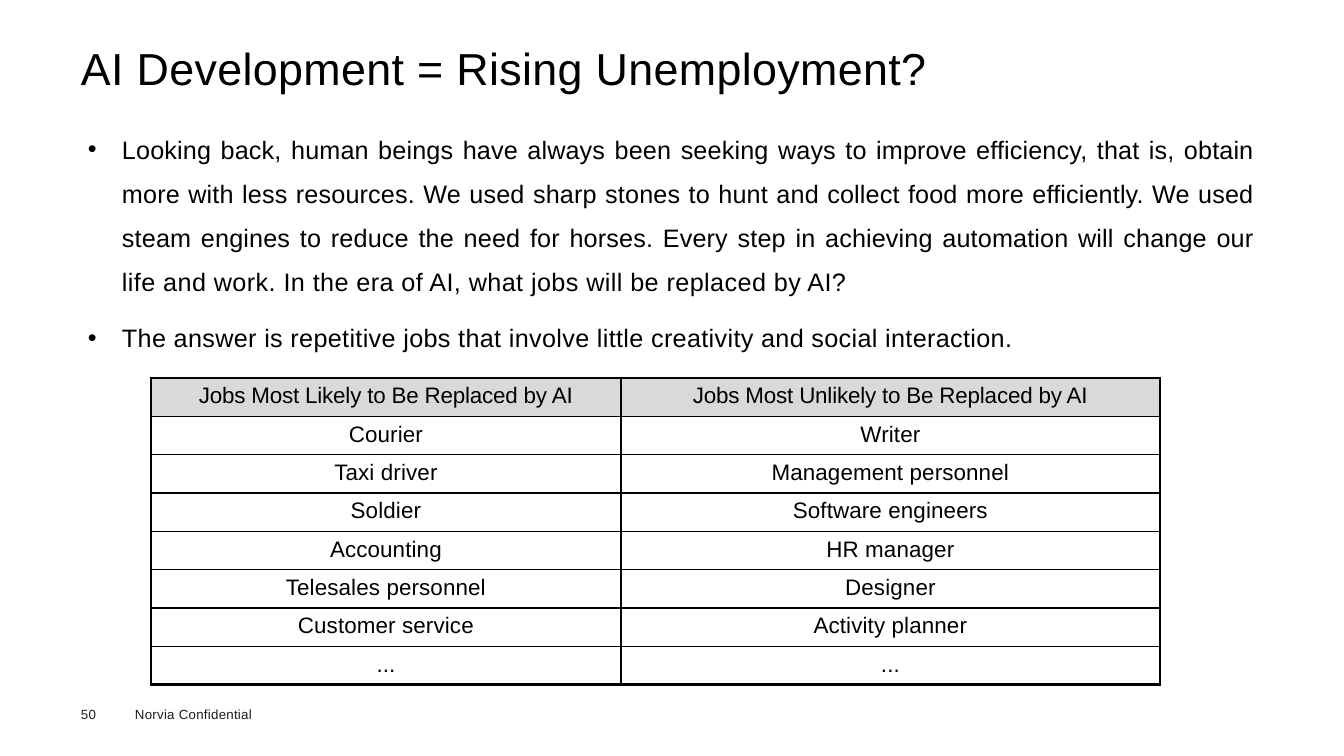
from lxml.etree import SubElement
from pptx import Presentation
from pptx.dml.color import RGBColor
from pptx.enum.text import MSO_ANCHOR, MSO_AUTO_SIZE, PP_ALIGN
from pptx.oxml.ns import qn
from pptx.util import Emu, Pt

TITLE = "AI Development = Rising Unemployment?"
# Each bullet is a list of (text, letter spacing in points)
BULLETS = [
    [("Looking back, human beings have always been seeking ways to improve efficiency, "
      "that is, obtain more with less resources. We used sharp stones to hunt and collect "
      "food more efficiently. We used steam engines to reduce the need for horses. Every "
      "step in achieving automation will change our ", 0.1),
     ("life and work. In the era of AI, what jobs will be replaced by AI?", 0.3)],
    [("The answer is repetitive jobs that involve little creativity and social interaction.",
      0.25)],
]
JOBS = [
    ("Jobs Most Likely to Be Replaced by AI", "Jobs Most Unlikely to Be Replaced by AI"),
    ("Courier", "Writer"),
    ("Taxi driver", "Management personnel"),
    ("Soldier", "Software engineers"),
    ("Accounting", "HR manager"),
    ("Telesales personnel", "Designer"),
    ("Customer service", "Activity planner"),
    ("...", "..."),
]
FOOTER = "50\tNorvia Confidential"

BLACK, FOOTER_GREY, HEADER_GREY = "000000", "1D1D1B", "D9D9D9"
TITLE_BOX = (81, 40, 900, 56)
BODY_BOX = (88, 119, 1168, 235)
FOOTER_BOX = (81, 705, 240, 19)
TABLE_BOX = (151, 378, 1009, 307)
COLUMN_WIDTHS = (470, 539)
BULLET_INDENT, FOOTER_TAB = 34, 54
OUTER_LINE, INNER_LINE = 2.25, 1


def px(length):
    return Emu(length * 914400 * 10 // 1008)


def color(value):
    return RGBColor.from_string(value)


def place(shape, box):
    for name, length in zip(("left", "top", "width", "height"), box):
        setattr(shape, name, px(length))


def prepare_frame(shape):
    frame = shape.text_frame
    settings = {"margin_left": 0, "margin_right": 0, "margin_top": px(1), "margin_bottom": 0,
                "word_wrap": True, "auto_size": MSO_AUTO_SIZE.NONE,
                "vertical_anchor": MSO_ANCHOR.TOP}
    for name, value in settings.items():
        setattr(frame, name, value)
    return frame


def add_run(paragraph, text, size, spacing, text_color=BLACK):
    run = paragraph.add_run()
    run.text = text
    for name, value in {"name": "Arial", "size": Pt(size), "bold": False}.items():
        setattr(run.font, name, value)
    run.font.color.rgb = color(text_color)
    run.font._element.set("spc", str(round(spacing * 100)))


def set_borders(cell, widths):
    """Draw black cell borders; widths maps a side (L, R, T, B) to points."""
    properties = cell._tc.get_or_add_tcPr()
    for side, width in widths.items():
        line = SubElement(properties, qn(f"a:ln{side}"), w=str(Pt(width)))
        SubElement(SubElement(line, qn("a:solidFill")), qn("a:srgbClr"), val=BLACK)


def add_title(slide):
    title = slide.shapes.title
    place(title, TITLE_BOX)
    paragraph = prepare_frame(title).paragraphs[0]
    paragraph.alignment = PP_ALIGN.LEFT
    add_run(paragraph, TITLE, 32, 0.25)


def add_bullets(slide):
    body = slide.placeholders[1]
    place(body, BODY_BOX)
    frame = prepare_frame(body)
    for index, runs in enumerate(BULLETS):
        paragraph = frame.add_paragraph() if index else frame.paragraphs[0]
        properties = paragraph._p.get_or_add_pPr()
        properties.set("marL", str(px(BULLET_INDENT)))
        properties.set("indent", str(-px(BULLET_INDENT)))
        paragraph.alignment = PP_ALIGN.JUSTIFY
        paragraph.line_spacing = 1.46
        paragraph.space_before = Pt(8.5 if index else 0)
        for text, spacing in runs:
            add_run(paragraph, text, 18, spacing)


def add_jobs_table(slide):
    last_row, last_column = len(JOBS) - 1, len(COLUMN_WIDTHS) - 1
    table = slide.shapes.add_table(len(JOBS), len(COLUMN_WIDTHS), *map(px, TABLE_BOX)).table
    table.horz_banding = False
    for column, width in zip(table.columns, COLUMN_WIDTHS):
        column.width = px(width)
    for row, jobs in enumerate(JOBS):
        for column, job in enumerate(jobs):
            cell = table.cell(row, column)
            on_edge = {"L": column == 0, "R": column == last_column,
                       "T": row == 0, "B": row == last_row}
            set_borders(cell, {side: OUTER_LINE if edge else INNER_LINE
                               for side, edge in on_edge.items()})
            if row == 0:
                cell.fill.solid()
                cell.fill.fore_color.rgb = color(HEADER_GREY)
            else:
                cell.fill.background()
            margins = {"margin_left": 0, "margin_right": 0, "margin_top": 0,
                       "margin_bottom": px(2)}
            for name, value in margins.items():
                setattr(cell, name, value)
            cell.vertical_anchor = MSO_ANCHOR.MIDDLE
            paragraph = cell.text_frame.paragraphs[0]
            paragraph.alignment = PP_ALIGN.CENTER
            add_run(paragraph, job, 16, 0.1 if row else -0.1)


def add_footer(slide):
    footer = slide.shapes.add_textbox(*map(px, FOOTER_BOX))
    paragraph = prepare_frame(footer).paragraphs[0]
    tabs = SubElement(paragraph._p.get_or_add_pPr(), qn("a:tabLst"))
    SubElement(tabs, qn("a:tab"), pos=str(px(FOOTER_TAB)), algn="l")
    add_run(paragraph, FOOTER, 9.5, 0.2, FOOTER_GREY)


def main():
    presentation = Presentation()
    presentation.slide_width, presentation.slide_height = px(1344), px(756)
    slide = presentation.slides.add_slide(presentation.slide_layouts[1])
    add_title(slide)
    add_bullets(slide)
    add_jobs_table(slide)
    add_footer(slide)
    presentation.save("out.pptx")


if __name__ == "__main__":
    main()
